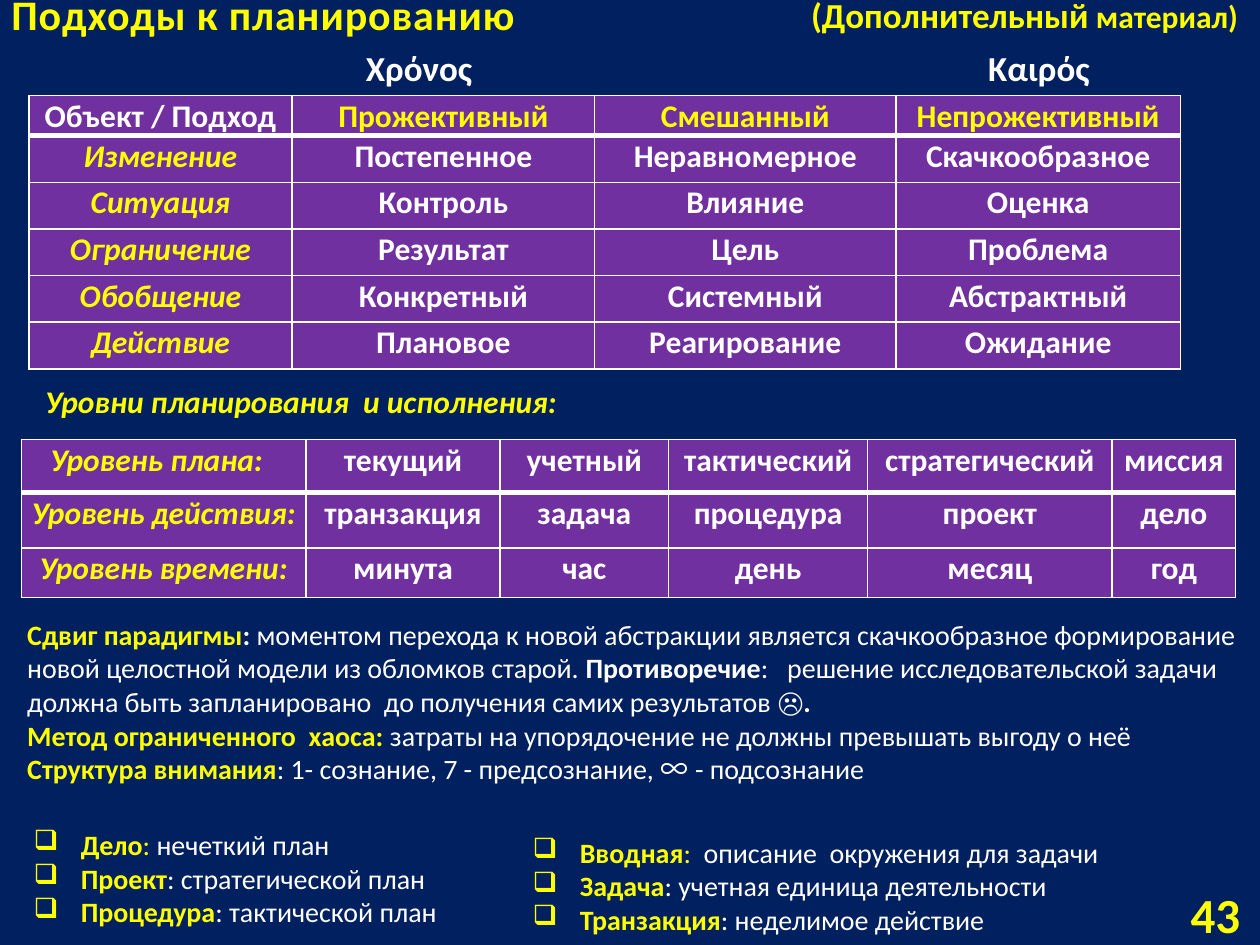
"""Build a slide on planning approaches with two tables and notes on terms."""
from lxml.etree import SubElement
from pptx import Presentation
from pptx.dml.color import RGBColor
from pptx.enum.text import MSO_ANCHOR, MSO_AUTO_SIZE, PP_ALIGN
from pptx.oxml.ns import qn
from pptx.util import Cm, Pt

NAVY = RGBColor(0x00, 0x20, 0x60)
PURPLE = RGBColor(0x70, 0x30, 0xA0)
YELLOW = RGBColor(0xFF, 0xFF, 0x00)
WHITE = RGBColor(0xFF, 0xFF, 0xFF)
FONT = "Calibri"
SYMBOL_FONT = "Noto Sans CJK JP"

TERM = {"color": YELLOW, "bold": True}
LABEL = {"color": YELLOW, "bold": True, "italic": True}
STRONG = {"color": WHITE, "bold": True}
PLAIN = {"color": WHITE}
SOFT = {"color": YELLOW}
SYMBOL = {"color": WHITE, "name": SYMBOL_FONT}

APPROACHES = [
    ["Объект / Подход", "Прожективный", "Смешанный", "Непрожективный"],
    ["Изменение", "Постепенное", "Неравномерное", "Скачкообразное"],
    ["Ситуация", "Контроль", "Влияние", "Оценка"],
    ["Ограничение", "Результат", "Цель", "Проблема"],
    ["Обобщение", "Конкретный", "Системный", "Абстрактный"],
    ["Действие", "Плановое", "Реагирование", "Ожидание"],
]
LEVELS = [
    ["Уровень плана:  ", "текущий", "учетный", "тактический", "стратегический", "миссия"],
    ["Уровень действия:", "транзакция", "задача", "процедура", "проект", "дело"],
    ["Уровень времени:", "минута", "час", "день", "месяц", "год"],
]
TITLE = [[("Подходы к планированию", TERM)]]
SUPPLEMENT = [[("(Дополнительный", TERM), (" материал)", {**TERM, "size": 18})]]
CHRONOS = [[("Χρόνος ", STRONG)]]
KAIROS = [[("Καιρός ", STRONG)]]
LEVELS_HEADING = [[("Уровни планирования  и исполнения:", LABEL)]]
SLIDE_NUMBER = [[("43", TERM)]]
NOTES = [
    [
        ("Сдвиг парадигмы", TERM),
        (": ", STRONG),
        ("моментом перехода к новой абстракции является скачкообразное "
         "формирование новой целостной модели из обломков старой. ", PLAIN),
        ("Противоречие", STRONG),
        (":   решение исследовательской задачи должна быть запланировано  "
         "до получения самих результатов ", PLAIN),
        ("☹.", STRONG),
    ],
    [
        ("Метод ограниченного  хаоса: ", TERM),
        ("затраты на упорядочение не должны превышать выгоду о неё ", PLAIN),
        ("Структура внимания", TERM),
        (": 1- сознание, 7 - предсознание, ", PLAIN),
        ("∞", SYMBOL),
        (" - подсознание", PLAIN),
    ],
]
PLAN_TERMS = [
    [("Дело", TERM), (": ", SOFT), ("нечеткий план", PLAIN)],
    [("Проект", TERM), (": стратегической план", PLAIN)],
    [("Процедура", TERM), (": тактической план", PLAIN)],
]
TASK_TERMS = [
    [("Вводная", TERM), (": ", SOFT), (" описание  окружения для задачи", PLAIN)],
    [("Задача", TERM), (": учетная единица деятельности", PLAIN)],
    [("Транзакция", TERM), (": неделимое действие", PLAIN)],
]


def format_run(run, size, color, bold=False, italic=False, name=FONT):
    font = run.font
    font.size, font.name = Pt(size), name
    font.bold, font.italic = bold, italic
    font.color.rgb = color
    if name != FONT:
        SubElement(run.font._element, qn("a:ea"), typeface=name)


def add_bullet(paragraph):
    properties = paragraph._p.get_or_add_pPr()
    properties.set("marL", str(Cm(0.95)))
    properties.set("indent", str(-Cm(0.95)))
    SubElement(properties, qn("a:buChar"), char="❑")


def add_text(slide, box, paragraphs, size, align=PP_ALIGN.LEFT, anchor=MSO_ANCHOR.TOP,
             wrap=True, grow=True, bullets=False):
    text_frame = slide.shapes.add_textbox(*map(Cm, box)).text_frame
    text_frame.word_wrap = wrap
    text_frame.vertical_anchor = anchor
    text_frame.auto_size = MSO_AUTO_SIZE.SHAPE_TO_FIT_TEXT if grow else MSO_AUTO_SIZE.NONE
    for index, pieces in enumerate(paragraphs):
        paragraph = text_frame.add_paragraph() if index else text_frame.paragraphs[0]
        paragraph.alignment = align
        if bullets:
            add_bullet(paragraph)
        for text, style in pieces:
            run = paragraph.add_run()
            run.text = text
            format_run(run, **{"size": size, **style})
    return text_frame


def add_borders(cell, row):
    widths = {"L": 1, "R": 1, "T": 3 if row == 1 else 1, "B": 3 if row == 0 else 1}
    properties = cell._tc.get_or_add_tcPr()
    for side, width in widths.items():
        line = SubElement(properties, qn(f"a:ln{side}"), w=str(Pt(width)))
        SubElement(SubElement(line, qn("a:solidFill")), qn("a:srgbClr"), val=str(WHITE))


def add_grid(slide, left, top, widths, heights, rows, style_of):
    frame = slide.shapes.add_table(len(rows), len(widths), Cm(left), Cm(top),
                                   Cm(sum(widths)), Cm(sum(heights)))
    table = frame.table
    table.first_row = table.horz_banding = False
    for column, width in zip(table.columns, widths):
        column.width = Cm(width)
    for row_index, (height, texts) in enumerate(zip(heights, rows)):
        table.rows[row_index].height = Cm(height)
        for column_index, text in enumerate(texts):
            cell = table.cell(row_index, column_index)
            cell.margin_left = cell.margin_right = cell.margin_top = Cm(0.03)
            cell.margin_bottom = 0
            add_borders(cell, row_index)
            cell.fill.solid()
            cell.fill.fore_color.rgb = PURPLE
            paragraph = cell.text_frame.paragraphs[0]
            paragraph.text = text
            paragraph.alignment = PP_ALIGN.CENTER
            format_run(paragraph.runs[0], 18, **style_of(row_index, column_index))


def approach_style(row, column):
    if row == 0:
        return TERM if column else STRONG
    return STRONG if column else LABEL


def level_style(row, column):
    return STRONG if column else LABEL


def main():
    presentation = Presentation()
    presentation.slide_width, presentation.slide_height = Cm(25.4), Cm(19.05)
    slide = presentation.slides.add_slide(presentation.slide_layouts[6])
    slide.background.fill.solid()
    slide.background.fill.fore_color.rgb = NAVY

    title = add_text(slide, (-0.02, 0, 15.27, 0.91), TITLE, 24,
                     anchor=MSO_ANCHOR.BOTTOM, grow=False)
    title.paragraphs[0].runs[0].font._element.set("spc", "50")
    add_grid(slide, 0.58, 1.93, [5.31, 6.1, 6.07, 5.74], [0.74] + [0.94] * 5,
             APPROACHES, approach_style)
    add_text(slide, (0.3, 12.32, 25.04, 3.68), NOTES, 16)
    add_grid(slide, 0.43, 8.86, [5.74, 3.91, 3.4, 4.01, 4.93, 2.49], [1.07, 1.12, 0.99],
             LEVELS, level_style)
    add_text(slide, (0.66, 7.57, 11.1, 1.02), LEVELS_HEADING, 18, wrap=False)
    add_text(slide, (22.38, 17.91, 2.87, 1.02), SLIDE_NUMBER, 28,
             PP_ALIGN.RIGHT, MSO_ANCHOR.MIDDLE, grow=False)
    add_text(slide, (7.11, 0.81, 2.84, 1.12), CHRONOS, 20, PP_ALIGN.CENTER, wrap=False)
    add_text(slide, (19.3, 0.81, 3.45, 1.12), KAIROS, 20, PP_ALIGN.CENTER)
    add_text(slide, (16.1, -0.25, 9.17, 1.12), SUPPLEMENT, 20, wrap=False)
    add_text(slide, (10.49, 16.71, 12.6, 2.31), TASK_TERMS, 16, bullets=True)
    add_text(slide, (0.43, 16.56, 9.5, 2.31), PLAN_TERMS, 16, bullets=True)
    presentation.save("out.pptx")


if __name__ == "__main__":
    main()
